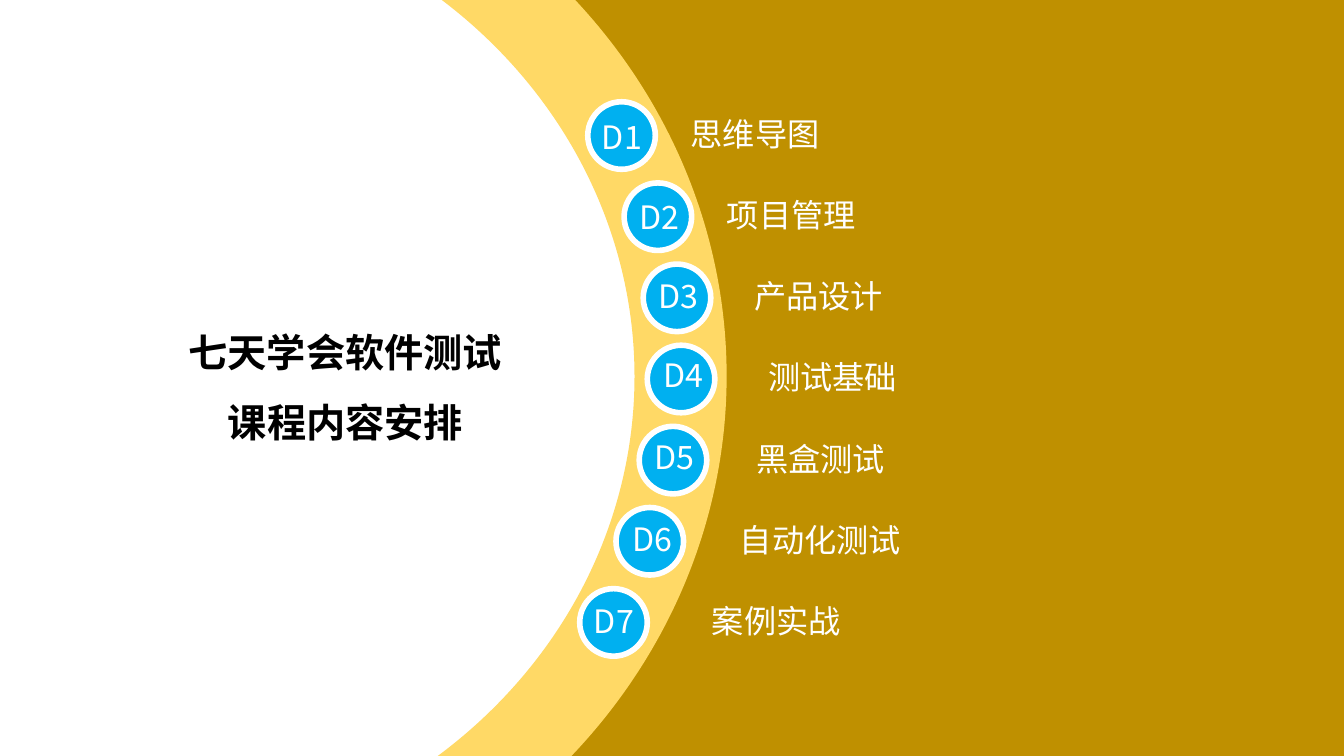
from pptx import Presentation
from pptx.dml.color import RGBColor
from pptx.enum.shapes import MSO_SHAPE
from pptx.enum.text import MSO_ANCHOR, PP_ALIGN
from pptx.oxml.ns import qn
from pptx.util import Inches, Pt

OVAL, RECTANGLE = MSO_SHAPE.OVAL, MSO_SHAPE.RECTANGLE
MIDDLE, TOP = MSO_ANCHOR.MIDDLE, MSO_ANCHOR.TOP
LEFT, CENTER = PP_ALIGN.LEFT, PP_ALIGN.CENTER

FONT = "Noto Sans CJK SC"
GOLD, YELLOW, BLUE, WHITE, BLACK = "BF9000", "FFD966", "00B0F0", "FFFFFF", "000000"
ROW_PITCH = 0.805

# topic, label left, label width, circle left, number offset in the circle
DAYS = [
    ("思维导图", 6.42, 6.11, 5.83, (0.14, 0.13)),
    ("项目管理", 6.78, 5.63, 6.19, (0.15, 0.12)),
    ("产品设计", 7.05, 5.36, 6.38, (0.15, 0.10)),
    ("测试基础", 7.19, 5.28, 6.42, (0.16, 0.08)),
    ("黑盒测试", 7.07, 5.36, 6.34, (0.15, 0.08)),
    ("自动化测试", 6.91, 5.63, 6.11, (0.16, 0.09)),
    ("案例实战", 6.63, 6.11, 5.75, (0.14, 0.10)),
]


def color(value):
    return RGBColor.from_string(value)


def add_filled(page, kind, box, fill, line=None, line_width=1):
    shape = page.shapes.add_shape(kind, *map(Inches, box))
    shape.shadow.inherit = False
    shape.fill.solid()
    shape.fill.fore_color.rgb = color(fill)
    if line:
        shape.line.color.rgb = color(line)
        shape.line.width = Pt(line_width)
    else:
        shape.line.fill.background()
    return shape


def write(shape, text, size=23, ink=WHITE, bold=False, align=LEFT,
          anchor=MIDDLE, spacing=0.9, insets=(0, 0, 0, 0), wrap=True):
    """Fill the shape with one paragraph per line of text."""
    frame = shape.text_frame
    frame.word_wrap = wrap
    frame.vertical_anchor = anchor
    (frame.margin_left, frame.margin_top,
     frame.margin_right, frame.margin_bottom) = map(Inches, insets)
    for index, line in enumerate(text.split("\n")):
        para = frame.add_paragraph() if index else frame.paragraphs[0]
        para.alignment = align
        para.line_spacing = spacing
        span = para.add_run()
        span.text = line
        span.font.name = FONT
        span.font.size = Pt(size)
        span.font.bold = bold
        span.font.color.rgb = color(ink)
        latin = span.font._element.find(qn("a:latin"))
        east_asian = latin.makeelement(qn("a:ea"), {"typeface": FONT})
        latin.addnext(east_asian)


def add_labels(page, top):
    for row, (topic, left, width, _, _) in enumerate(DAYS):
        box = (left, top + row * ROW_PITCH, width, 0.54)
        label = add_filled(page, RECTANGLE, box, GOLD)
        write(label, topic, insets=(0.43, 0.06, 0.06, 0.06))


def add_arc(page):
    add_filled(page, OVAL, (-5.09, -1.96, 12.29, 11.38), YELLOW, YELLOW)
    add_filled(page, OVAL, (-4.15, -1.1, 10.45, 9.67), WHITE, YELLOW)


def add_day_circles(page, top, size=0.67):
    for row, (_, _, _, left, (shift_x, shift_y)) in enumerate(DAYS):
        circle_top = top + row * ROW_PITCH
        add_filled(page, OVAL, (left, circle_top, size, size), BLUE, WHITE, 4)
        box = (left + shift_x, circle_top + shift_y, 0.45, 0.48)
        number = page.shapes.add_textbox(*map(Inches, box))
        write(number, f"D{row + 1}")


def add_title(page, box):
    title = page.shapes.add_textbox(*map(Inches, box))
    write(title, "七天学会软件测试\n课程内容安排", size=28, ink=BLACK, bold=True,
          align=CENTER, anchor=TOP, spacing=1.5, insets=(0.1, 0.05, 0.1, 0.05))


def main():
    deck = Presentation()
    deck.slide_width, deck.slide_height = Inches(13.33), Inches(7.5)
    page = deck.slides.add_slide(deck.slide_layouts[6])
    page.background.fill.solid()
    page.background.fill.fore_color.rgb = color(GOLD)
    add_labels(page, 1.08)
    add_arc(page)
    add_day_circles(page, 1.01)
    add_title(page, (1.63, 2.97, 3.59, 1.51))
    deck.save("out.pptx")


if __name__ == "__main__":
    main()
